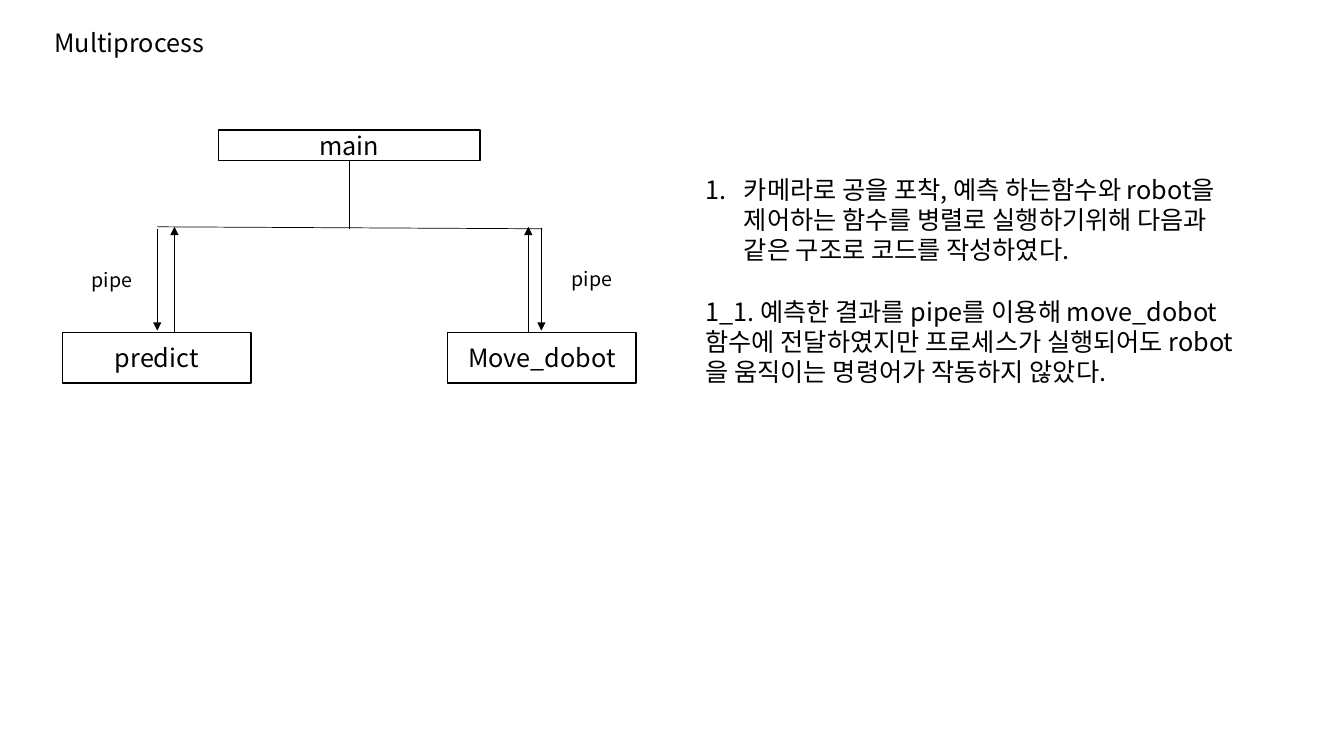
from lxml.etree import SubElement
from pptx import Presentation
from pptx.dml.color import RGBColor
from pptx.enum.shapes import MSO_CONNECTOR, MSO_SHAPE
from pptx.enum.text import MSO_ANCHOR, MSO_AUTO_SIZE, PP_ALIGN
from pptx.oxml.ns import qn
from pptx.util import Inches, Pt

COLORS = {"ink": "000000", "paper": "FFFFFF"}
FONT = "Noto Sans CJK KR"


def write(p, text, size=18, align=PP_ALIGN.LEFT, before=0):
    p.alignment = align
    p.space_before = Pt(before)
    r = p.add_run()
    r.text = text
    r.font.size = Pt(size)
    r.font.color.rgb = RGBColor.from_string(COLORS["ink"])
    r.font.name = FONT
    SubElement(r.font._element, qn("a:ea"), typeface=FONT)


prs = Presentation()
prs.slide_width, prs.slide_height = Inches(13.33), Inches(7.5)
s = prs.slides.add_slide(prs.slide_layouts[5])
s.background.fill.solid()
s.background.fill.fore_color.rgb = RGBColor.from_string(COLORS["paper"])

title = s.shapes.title
title.left, title.top = Inches(0.44), Inches(0.22)
title.width, title.height = Inches(3.29), Inches(0.4)
tf = title.text_frame
tf.auto_size = MSO_AUTO_SIZE.NONE
tf.vertical_anchor = MSO_ANCHOR.TOP
write(tf.paragraphs[0], "Multiprocess")

tf = s.shapes.add_textbox(Inches(6.9), Inches(1.68), Inches(5.66), Inches(2.22)).text_frame
tf.word_wrap = True
p = tf.paragraphs[0]
pPr = p._p.get_or_add_pPr()
pPr.set("marL", str(Inches(0.38)))
pPr.set("indent", str(-Inches(0.38)))
SubElement(pPr, qn("a:buFont"), typeface=FONT)
SubElement(pPr, qn("a:buAutoNum"), type="arabicPeriod")
write(p, "카메라로 공을 포착, 예측 하는함수와 robot을 제어하는 함수를 병렬로 "
         "실행하기위해 다음과 같은 구조로 코드를 작성하였다.")
write(tf.add_paragraph(),
      "1_1. 예측한 결과를 pipe를 이용해 move_dobot함수에 전달하였지만 "
      "프로세스가 실행되어도 robot을 움직이는 명령어가 작동하지 않았다.", before=22)

for name, x, y, w, h in [
    ("main", 2.17, 1.29, 2.59, 0.3),
    ("predict", 0.62, 3.3, 1.87, 0.5),
    ("Move_dobot", 4.44, 3.3, 1.87, 0.5),
]:
    sp = s.shapes.add_shape(MSO_SHAPE.RECTANGLE, Inches(x), Inches(y), Inches(w), Inches(h))
    sp.shadow.inherit = False
    sp.fill.solid()
    sp.fill.fore_color.rgb = RGBColor.from_string(COLORS["paper"])
    sp.line.color.rgb = RGBColor.from_string(COLORS["ink"])
    sp.line.width = Pt(1)
    sp.text_frame.vertical_anchor = MSO_ANCHOR.MIDDLE
    write(sp.text_frame.paragraphs[0], name, align=PP_ALIGN.CENTER)

for x1, y1, x2, y2, arrow in [
    (3.47, 1.6, 3.47, 2.27, False),
    (1.56, 2.25, 5.38, 2.27, False),
    (1.56, 2.27, 1.56, 3.28, True),
    (5.37, 2.26, 5.37, 3.28, True),
    (1.73, 3.3, 1.73, 2.25, True),
    (5.24, 3.3, 5.24, 2.25, True),
]:
    line = s.shapes.add_connector(MSO_CONNECTOR.STRAIGHT, Inches(x1), Inches(y1), Inches(x2), Inches(y2))
    line.line.color.rgb = RGBColor.from_string(COLORS["ink"])
    line.line.width = Pt(0.5)
    if arrow:
        SubElement(line.line._get_or_add_ln(), qn("a:tailEnd"), type="triangle")
    SubElement(line._element.spPr, qn("a:effectLst"))

for x, y in [(0.81, 2.61), (5.57, 2.6)]:
    tf = s.shapes.add_textbox(Inches(x), Inches(y), Inches(0.85), Inches(0.34)).text_frame
    tf.word_wrap = True
    write(tf.paragraphs[0], "pipe", size=14)

prs.save("out.pptx")
